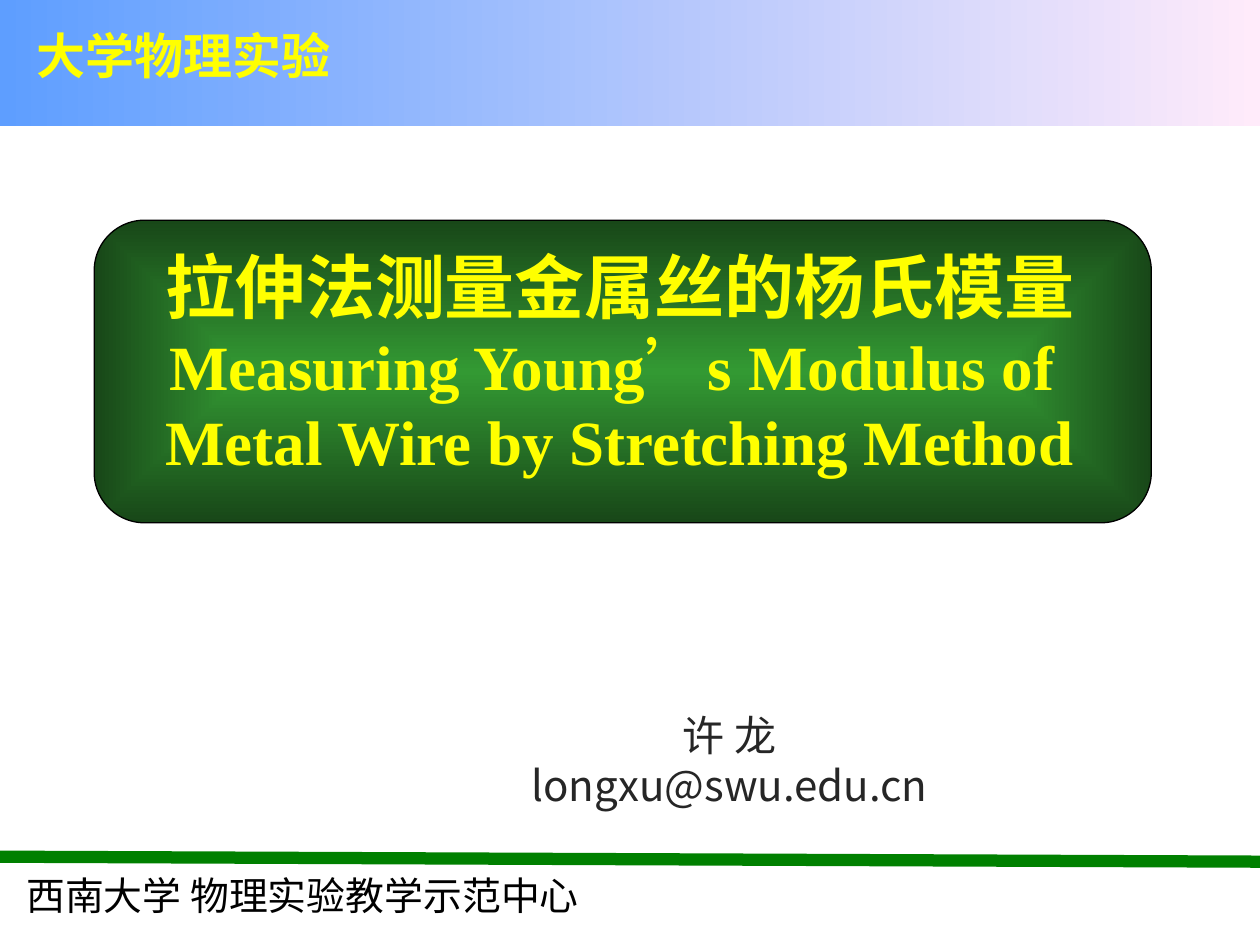
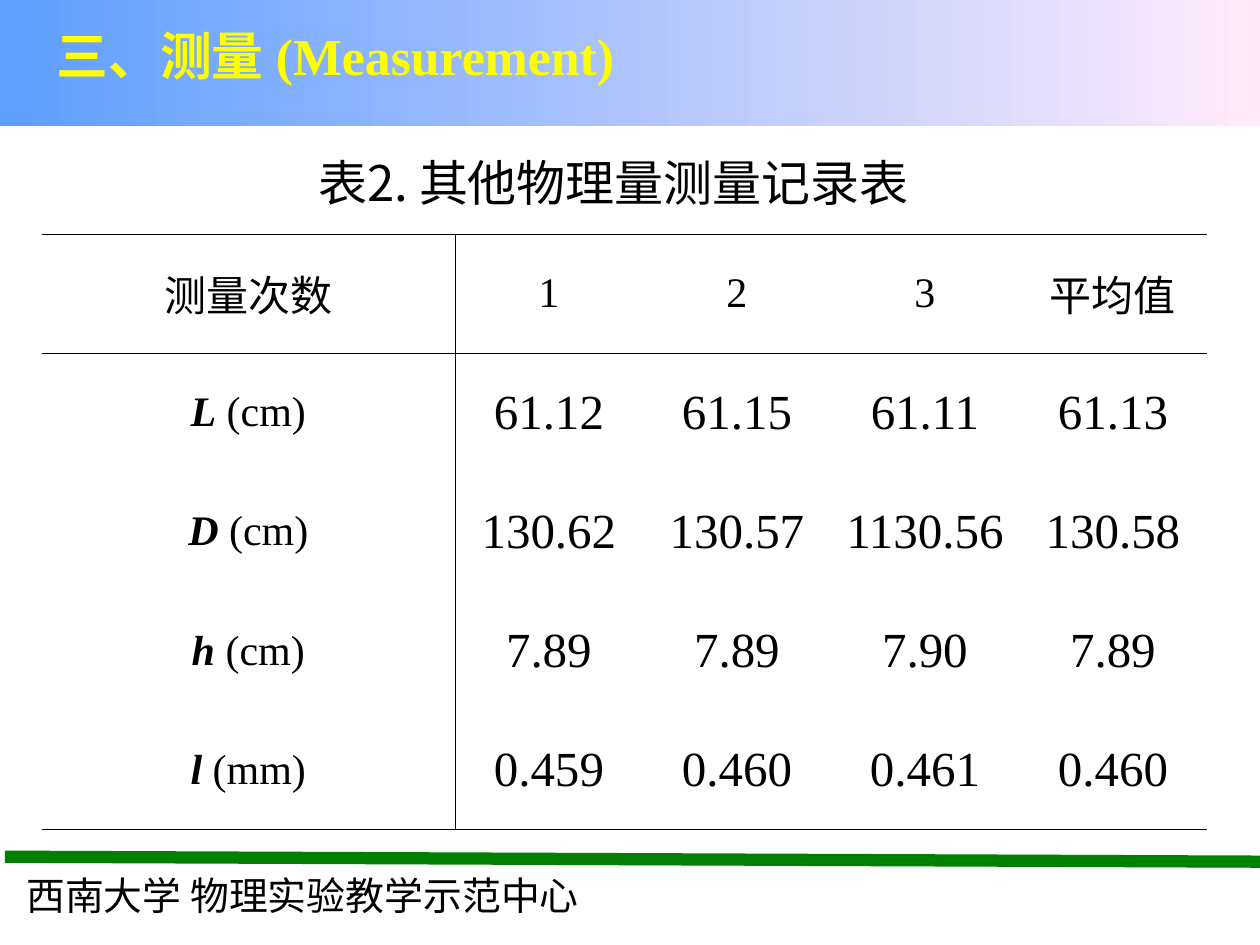
"""Two slides of a physics lab course: the opening slide and a measurement table."""
from lxml import etree
from pptx import Presentation
from pptx.dml.color import RGBColor as RGB
from pptx.enum.shapes import MSO_CONNECTOR as LINE, MSO_SHAPE as SHAPE
from pptx.enum.text import MSO_ANCHOR as ANCHOR, MSO_AUTO_SIZE as AUTO, PP_ALIGN as ALIGN
from pptx.oxml.ns import qn
from pptx.util import Cm, Pt

COLORS = {
    "text": "000000", "author": "262626", "title": "FFFF00", "rule": "008000",
    "band_left": "5E9EFF", "band_right": "FFEBFA",
    "plate_center": "339933", "plate_edge": "184718",
}
CJK, SERIF, SANS = "Noto Sans CJK SC", "Times New Roman", "Arial"


def style(r, size, font, color="text", bold=False, italic=False):
    r.font.size, r.font.name = Pt(size), font
    r.font.bold, r.font.italic = bold, italic
    r.font.color.rgb = RGB.from_string(COLORS[color])
    ea = etree.Element(qn("a:ea"), typeface=CJK)
    r.font._element.find(qn("a:latin")).addnext(ea)


def add_text(s, box, lines, size, font, color="text", bold=False, align=ALIGN.CENTER, wrap=True):
    tf = s.shapes.add_textbox(*map(Cm, box)).text_frame
    tf.word_wrap = wrap
    tf.text = "\n".join(lines)
    for p in tf.paragraphs:
        p.alignment = align
        for r in p.runs:
            style(r, size, font, color, bold)
    return tf


prs = Presentation()
prs.slide_width, prs.slide_height = Cm(25.4), Cm(19.05)
slides = [prs.slides.add_slide(prs.slide_layouts[5]) for _ in range(2)]
title_boxes = [(1.7, 5.23, 21.59, 4.09), (0.64, 0.33, 19.69, 1.57)]
rule_starts = [0, 0.1]

for s, title_box, rule_start in zip(slides, title_boxes, rule_starts):
    band = s.shapes.add_shape(SHAPE.RECTANGLE, 0, 0, Cm(25.4), Cm(2.54))
    band.shadow.inherit = False
    band.line.fill.background()
    band.fill.gradient()
    band.fill.gradient_angle = 0
    for stop, name in zip(band.fill.gradient_stops, ("band_left", "band_right")):
        stop.color.rgb = RGB.from_string(COLORS[name])

    rule = s.shapes.add_connector(LINE.STRAIGHT, Cm(rule_start), Cm(17.27), Cm(25.4), Cm(17.37))
    rule.line.width = Pt(7)
    rule.line.color.rgb = RGB.from_string(COLORS["rule"])
    etree.SubElement(rule._element.spPr, qn("a:effectLst"))

    footer = add_text(s, (0.28, 17.35, 13.49, 1.27), ["西南大学 物理实验教学示范中心"],
                      22.2, CJK, align=ALIGN.LEFT)
    footer.paragraphs[0].line_spacing = 1.1

    title = s.shapes.title
    title.left, title.top, title.width, title.height = map(Cm, title_box)
    title.text_frame.auto_size = AUTO.NONE
    title.text_frame.word_wrap = True
    title.text_frame.vertical_anchor = ANCHOR.MIDDLE

cover, measurement = slides

plate = cover.shapes.add_shape(SHAPE.FLOWCHART_ALTERNATE_PROCESS,
                               Cm(1.9), Cm(4.44), Cm(21.31), Cm(6.1))
plate.shadow.inherit = False
plate.line.width = Pt(0.75)
plate.line.color.rgb = RGB.from_string(COLORS["text"])
plate.fill.gradient()
for stop, name in zip(plate.fill.gradient_stops, ("plate_center", "plate_edge")):
    stop.color.rgb = RGB.from_string(COLORS[name])
lin = plate._element.spPr.find(qn("a:gradFill")).find(qn("a:lin"))
path = etree.Element(qn("a:path"), path="rect")
etree.SubElement(path, qn("a:fillToRect"), l="50000", t="50000", r="50000", b="50000")
lin.getparent().replace(lin, path)

title = cover.shapes.title
cover.shapes._spTree.append(title._element)
p = title.text_frame.paragraphs[0]
p.alignment = ALIGN.CENTER
title_runs = [
    ("拉伸法测量金属丝的杨氏模量", 40, SANS, True, True),
    ("Measuring Young", 36, SERIF, True, False),
    ("’", 36, CJK, False, False),
    ("s Modulus of ", 36, SERIF, True, True),
    ("Metal Wire by Stretching Method", 36, SERIF, True, False),
]
for text, size, font, bold, ends_line in title_runs:
    r = p.add_run()
    r.text = text
    style(r, size, font, "title", bold)
    if ends_line:
        p.add_line_break()

add_text(cover, (0.2, 0.38, 6.99, 1.45), ["大学物理实验"], 28, SANS, "title", True)
add_text(cover, (9.09, 14.17, 11.23, 2.29), ["许 龙", "longxu@swu.edu.cn"], 24, CJK, "author")

title = measurement.shapes.title
measurement.shapes._spTree.append(title._element)
tf = title.text_frame
tf.text = "三、测量 (Measurement)"
tf.margin_left = Cm(0.5)
tf.paragraphs[0].alignment = ALIGN.LEFT
style(tf.paragraphs[0].runs[0], 29.6, SERIF, "title", True)

add_text(measurement, (5.56, 2.95, 13.61, 1.45), ["表2. 其他物理量测量记录表"], 28, CJK, wrap=False)

rows = [
    ("测量次数", "1", "2", "3", "平均值"),
    ("L (cm)", "61.12", "61.15", "61.11", "61.13"),
    ("D (cm)", "130.62", "130.57", "1130.56", "130.58"),
    ("h (cm)", "7.89", "7.89", "7.90", "7.89"),
    ("l (mm)", "0.459", "0.460", "0.461", "0.460"),
]
table = measurement.shapes.add_table(5, 5, Cm(0.84), Cm(4.72), Cm(23.49), Cm(12)).table
table.first_row = table.horz_banding = False
for j, column in enumerate(table.columns):
    column.width = Cm(3.79 if j else 8.33)

for i, row in enumerate(rows):
    table.rows[i].height = Cm(2.4)
    for j, text in enumerate(row):
        cell = table.cell(i, j)
        cell.vertical_anchor = ANCHOR.MIDDLE
        p = cell.text_frame.paragraphs[0]
        p.alignment = ALIGN.CENTER
        if i and j == 0:
            symbol, unit = text.split()
            p.text = symbol
            p.add_run().text = f" {unit}"
        else:
            p.text = text
        for k, r in enumerate(p.runs):
            is_symbol = i > 0 and j == 0 and k == 0
            style(r, 28 if i and j else 24, SERIF, bold=is_symbol, italic=is_symbol)

        borders = {"L": j == 1, "R": j == 0, "T": i < 2, "B": i in (0, 4)}
        for side, visible in borders.items():
            ln = etree.SubElement(cell._tc.get_or_add_tcPr(), qn(f"a:ln{side}"), w=str(Pt(0.45)))
            if visible:
                fill = etree.SubElement(ln, qn("a:solidFill"))
                etree.SubElement(fill, qn("a:srgbClr"), val=COLORS["text"])
            else:
                etree.SubElement(ln, qn("a:noFill"))
        cell.fill.background()

prs.save("out.pptx")
